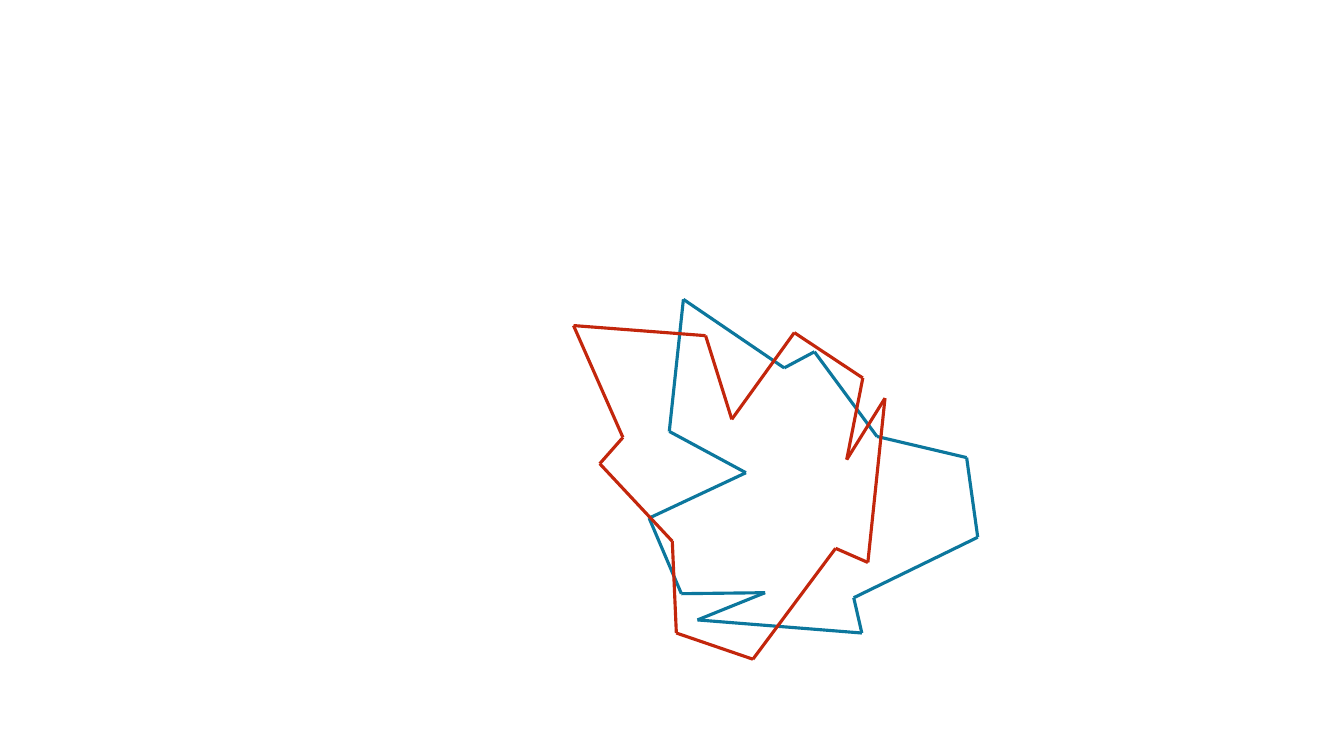
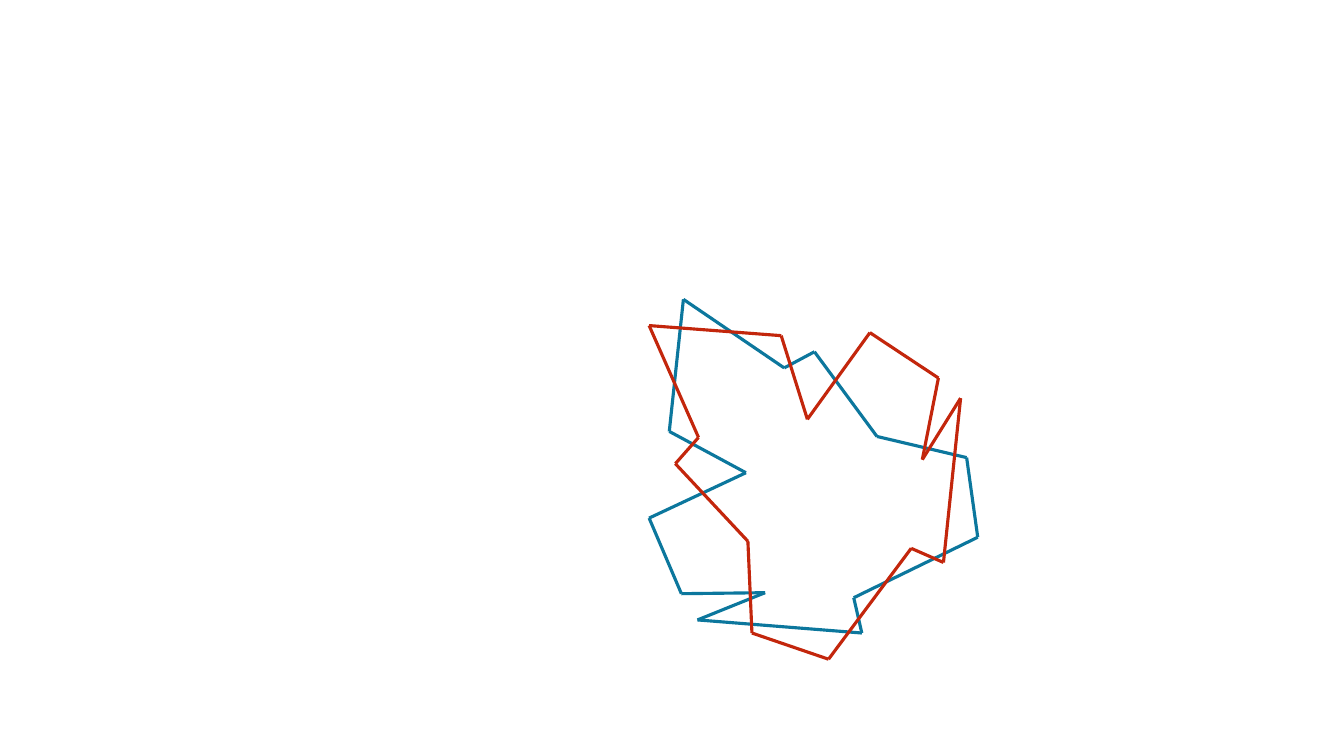
from itertools import pairwise

from lxml.etree import SubElement
from pptx import Presentation
from pptx.dml.color import RGBColor
from pptx.enum.shapes import MSO_CONNECTOR as CONN
from pptx.oxml.ns import qn
from pptx.util import Emu, Inches, Pt

PX = 9144  # 100 px to the inch
BLUE, RED = "0C779D", "C3260C"
LINE_WIDTH = 2.25

# Corners in px, relative to the top left of each outline
BLUE_CORNERS = [
    (164, 52), (226, 136), (315, 157), (326, 236), (203, 296),
    (211, 331), (48, 318), (115, 291), (32, 292), (0, 217),
    (96, 172), (20, 131), (34, 0), (134, 68),
]
RED_CORNERS = [
    (26, 137), (98, 214), (102, 305), (178, 331), (260, 221),
    (292, 235), (309, 72), (271, 133), (287, 52), (219, 7),
    (157, 93), (131, 10), (0, 0), (49, 111),
]
BLUE_AT = (644, 297)
RED_TOP = 323
RED_LEFTS = (569, 644)  # one slide each


def px(n):
    return Emu(n * PX)


def rgb(value):
    return RGBColor.from_string(value)


def add_outline(slide, left, top, corners, color):
    """Draw a closed outline as one group of straight lines."""
    group = slide.shapes.add_group_shape()
    for (x1, y1), (x2, y2) in pairwise(corners + corners[:1]):
        line = group.shapes.add_connector(
            CONN.STRAIGHT,
            px(left + x1), px(top + y1), px(left + x2), px(top + y2))
        line.line.color.rgb = rgb(color)
        line.line.width = Pt(LINE_WIDTH)
        SubElement(line._element.spPr, qn("a:effectLst"))


def add_overlay_slide(prs, red_left):
    """Add a slide with the fixed blue outline under the shifted red one."""
    slide = prs.slides.add_slide(prs.slide_layouts.get_by_name("Blank"))
    add_outline(slide, *BLUE_AT, BLUE_CORNERS, BLUE)
    add_outline(slide, red_left, RED_TOP, RED_CORNERS, RED)


def main():
    prs = Presentation()
    prs.slide_width, prs.slide_height = Inches(40 / 3), Inches(7.5)
    for red_left in RED_LEFTS:
        add_overlay_slide(prs, red_left)
    prs.save("out.pptx")


if __name__ == "__main__":
    main()
